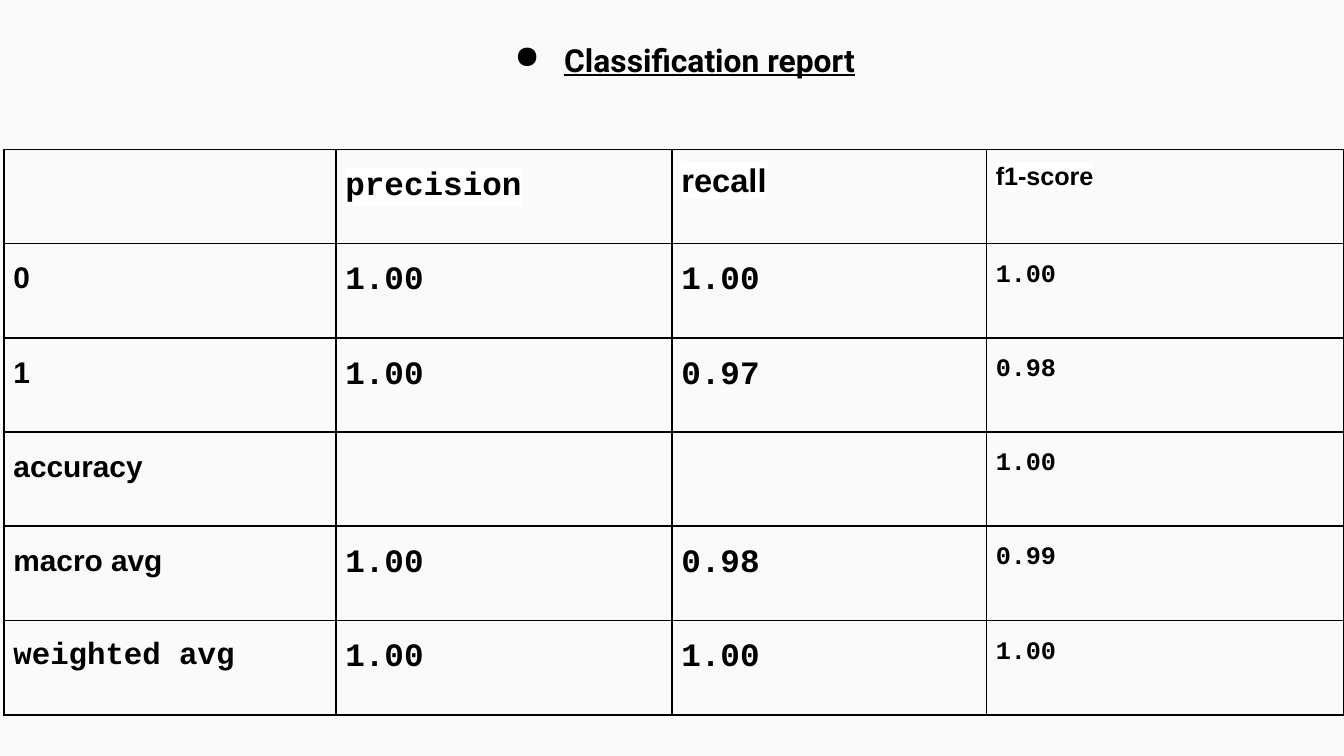
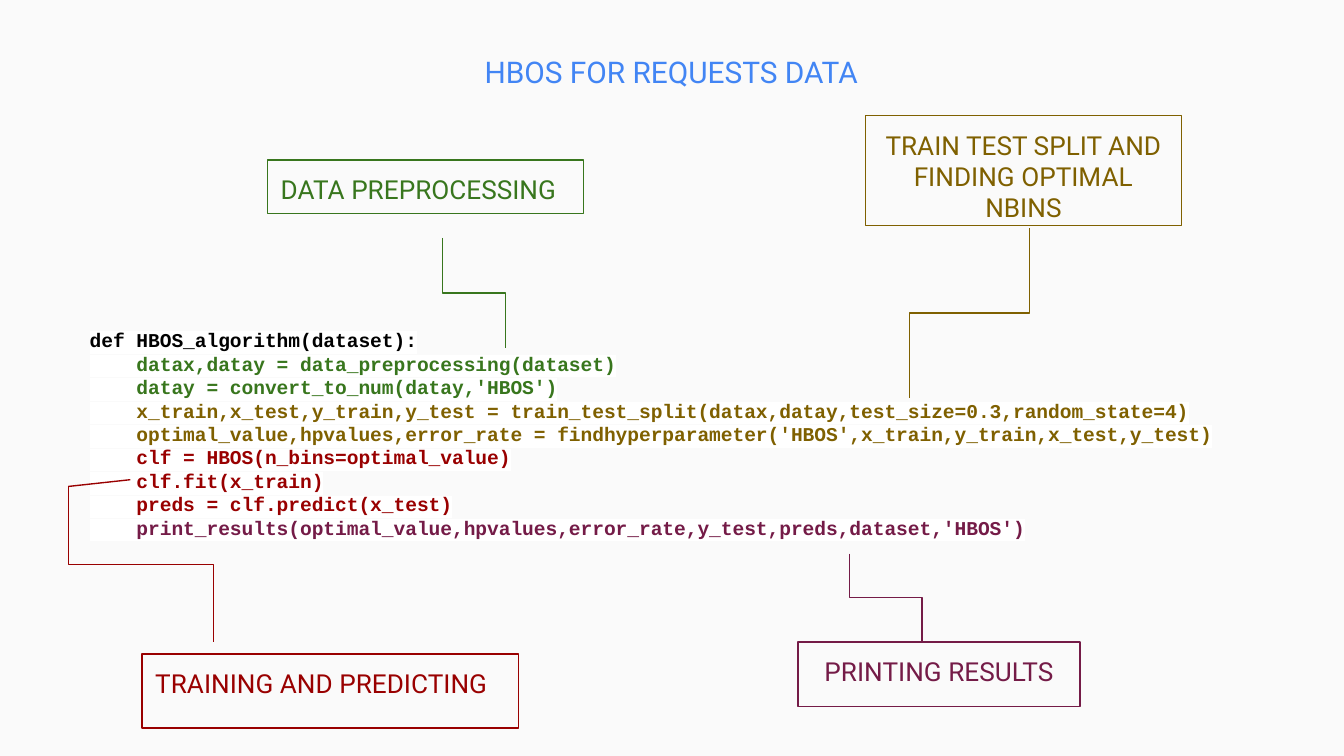
from lxml.etree import SubElement
from pptx import Presentation
from pptx.dml.color import RGBColor
from pptx.enum.shapes import MSO_CONNECTOR as Link, MSO_SHAPE as Preset
from pptx.enum.text import MSO_ANCHOR as Anchor, PP_ALIGN as Align
from pptx.oxml.ns import qn
from pptx.util import Pt

COLORS = {
    "paper": "FAFAFA",
    "highlight": "FFFFFF",
    "ink": "000000",
    "heading": "4285F4",
    "preprocessing": "38761D",
    "splitting": "7F6000",
    "training": "990000",
    "printing": "741B47",
}
SANS, MONO, TITLE = "Arial", "Courier New", "Roboto"
INSET = 7.2

HEADERS = [("precision", MONO, 17.5), ("recall", SANS, 17.5), ("f1-score", SANS, 13.5)]
SCORES = [
    ("0", "1.00", "1.00", "1.00"),
    ("1", "1.00", "0.97", "0.98"),
    ("accuracy", "", "", "1.00"),
    ("macro avg", "1.00", "0.98", "0.99"),
    ("weighted avg", "1.00", "1.00", "1.00"),
]
COLUMN_WIDTHS = [177.8, 180, 168.5, 191.5]
ROW_HEIGHT = 50.5

CODE = [
    ("def HBOS_algorithm(dataset):", "ink"),
    ("    datax,datay = data_preprocessing(dataset)", "preprocessing"),
    ("    datay = convert_to_num(datay,'HBOS')", "preprocessing"),
    ("    x_train,x_test,y_train,y_test = "
     "train_test_split(datax,datay,test_size=0.3,random_state=4)", "splitting"),
    ("    optimal_value,hpvalues,error_rate = "
     "findhyperparameter('HBOS',x_train,y_train,x_test,y_test)", "splitting"),
    ("    clf = HBOS(n_bins=optimal_value)", "training"),
    ("    clf.fit(x_train)", "training"),
    ("    preds = clf.predict(x_test)", "training"),
    ("    print_results(optimal_value,hpvalues,error_rate,y_test,preds,dataset,'HBOS')",
     "printing"),
]
STEPS = [
    ("DATA PREPROCESSING", "preprocessing", (143.3, 85.7, 169.2, 28.8), Align.LEFT),
    ("TRAIN TEST SPLIT AND FINDING OPTIMAL NBINS", "splitting",
     (463.7, 61.9, 169.2, 59), Align.CENTER),
    ("TRAINING AND PREDICTING", "training", (76.1, 350.4, 201.6, 39.6), Align.LEFT),
    ("PRINTING RESULTS", "printing", (427.5, 344, 151.2, 34.4), Align.CENTER),
]
ELBOWS = [
    ("preprocessing", (236.9, 127.4), (270.7, 186.5)),
    ("splitting", (487.4, 213.1), (551.5, 122.4)),
    ("training", (36.7, 260.6), (114.5, 344.2)),
    ("printing", (455, 296.6), (493.9, 344)),
]


def rgb(name):
    return RGBColor.from_string(COLORS[name])


def add_page(deck):
    page = deck.slides.add_slide(deck.slide_layouts[6])
    page.background.fill.solid()
    page.background.fill.fore_color.rgb = rgb("paper")
    return page


def write(para, text, font_name, size, color="ink", bold=False, highlighted=False):
    font = para.font
    font.name, font.size, font.bold = font_name, Pt(size), bold
    font.color.rgb = rgb(color)
    span = para.add_run()
    span.text = text
    if highlighted:
        span.font.color.rgb = rgb(color)
        properties = span.font._element
        marker = SubElement(properties, qn("a:highlight"))
        SubElement(marker, qn("a:srgbClr"), val=COLORS["highlight"])
        properties.find(qn("a:solidFill")).addnext(marker)


def prepare_frame(box):
    frame = box.text_frame
    frame.word_wrap = True
    frame.vertical_anchor = Anchor.TOP
    frame.margin_left = frame.margin_right = Pt(INSET)
    frame.margin_top = frame.margin_bottom = Pt(INSET)
    return frame


def add_text(page, place):
    return prepare_frame(page.shapes.add_textbox(*map(Pt, place)))


def add_title(page, place, text, size, color="ink", bold=False):
    para = add_text(page, place).paragraphs[0]
    para.alignment = Align.CENTER
    write(para, text, TITLE, size, color, bold)
    return para


def add_bullet(para, left, hanging):
    properties = para._p.get_or_add_pPr()
    properties.set("marL", str(Pt(left)))
    properties.set("indent", str(-Pt(hanging)))
    bullet_color = properties.makeelement(qn("a:buClr"))
    SubElement(bullet_color, qn("a:srgbClr"), val=COLORS["ink"])
    properties.insert(0, bullet_color)
    bullet_color.addnext(properties.makeelement(qn("a:buChar"), char="●"))


def outline_cell(cell):
    cell.fill.background()
    properties = cell._tc.get_or_add_tcPr()
    for index, side in enumerate(("lnL", "lnR", "lnT", "lnB")):
        border = properties.makeelement(qn(f"a:{side}"), w=str(Pt(1)))
        fill = SubElement(border, qn("a:solidFill"))
        SubElement(fill, qn("a:srgbClr"), val=COLORS["ink"])
        properties.insert(index, border)


def score_style(row, column):
    if column == 0:
        return (MONO, 16.5) if row == len(SCORES) else (SANS, 16)
    return MONO, 13.5 if column == 3 else 17.5


def fill_cell(cell, text, font_name, size, highlighted, spaced):
    cell.margin_left = cell.margin_right = Pt(5)
    cell.margin_top = cell.margin_bottom = Pt(INSET)
    outline_cell(cell)
    if text:
        para = cell.text_frame.paragraphs[0]
        if spaced:
            para.line_spacing = 1.15
            para.space_before = Pt(12)
        write(para, text, font_name, size, bold=True, highlighted=highlighted)


def add_report_table(page):
    rows, columns = len(SCORES) + 1, len(COLUMN_WIDTHS)
    frame = page.shapes.add_table(rows, columns, Pt(2.2), Pt(80), Pt(sum(COLUMN_WIDTHS)),
                                  Pt(ROW_HEIGHT * rows))
    table = frame.table
    table.first_row = table.horz_banding = False
    for column, width in zip(table.columns, COLUMN_WIDTHS):
        column.width = Pt(width)
    for row in table.rows:
        row.height = Pt(ROW_HEIGHT)
    fill_cell(table.cell(0, 0), "", SANS, 16, False, False)
    for column, (text, font_name, size) in enumerate(HEADERS, 1):
        fill_cell(table.cell(0, column), text, font_name, size, True, column == 1)
    for row, scores in enumerate(SCORES, 1):
        for column, text in enumerate(scores):
            fill_cell(table.cell(row, column), text, *score_style(row, column), False, True)


def add_code(page, place):
    frame = add_text(page, place)
    for index, (text, color) in enumerate(CODE):
        para = frame.add_paragraph() if index else frame.paragraphs[0]
        write(para, text, MONO, 10.5, color, bold=True, highlighted=True)


def add_step(page, text, color, place, alignment):
    box = page.shapes.add_shape(Preset.RECTANGLE, *map(Pt, place))
    box.shadow.inherit = False
    box.fill.background()
    box.line.color.rgb = rgb(color)
    box.line.width = Pt(0.75)
    para = prepare_frame(box).paragraphs[0]
    para.alignment = alignment
    write(para, text, TITLE, 14, color)


def add_line(page, kind, color, start, end):
    line = page.shapes.add_connector(kind, *map(Pt, (*start, *end)))
    line.line.color.rgb = rgb(color)
    line.line.width = Pt(0.75)
    SubElement(line._element.spPr, qn("a:effectLst"))
    return line


def add_upright_elbow(page, color, start, end):
    middle_x, middle_y = (start[0] + end[0]) / 2, (start[1] + end[1]) / 2
    half_x, half_y = (end[0] - start[0]) / 2, (end[1] - start[1]) / 2
    line = add_line(page, Link.ELBOW, color, (middle_x + half_y, middle_y - half_x),
                    (middle_x - half_y, middle_y + half_x))
    line._element.spPr.find(qn("a:xfrm")).set("rot", str(270 * 60000))


def build_report(deck):
    page = add_page(deck)
    add_report_table(page)
    title = add_title(page, (2.2, 14.4, 720, 44.6), "Classification report", 17, bold=True)
    title.font.underline = True
    add_bullet(title, 36, 26.6)


def build_algorithm(deck):
    page = add_page(deck)
    add_title(page, (206, 21.6, 307.4, 39.6), "HBOS FOR REQUESTS DATA", 16, "heading")
    add_code(page, (41, 168.5, 637.2, 128.9))
    for step in STEPS:
        add_step(page, *step)
    for elbow in ELBOWS:
        add_upright_elbow(page, *elbow)
    add_line(page, Link.STRAIGHT, "training", (36.7, 260.6), (69.8, 257))


def main():
    deck = Presentation()
    deck.slide_width, deck.slide_height = Pt(720), Pt(405)
    build_report(deck)
    build_algorithm(deck)
    deck.save("out.pptx")


if __name__ == "__main__":
    main()
